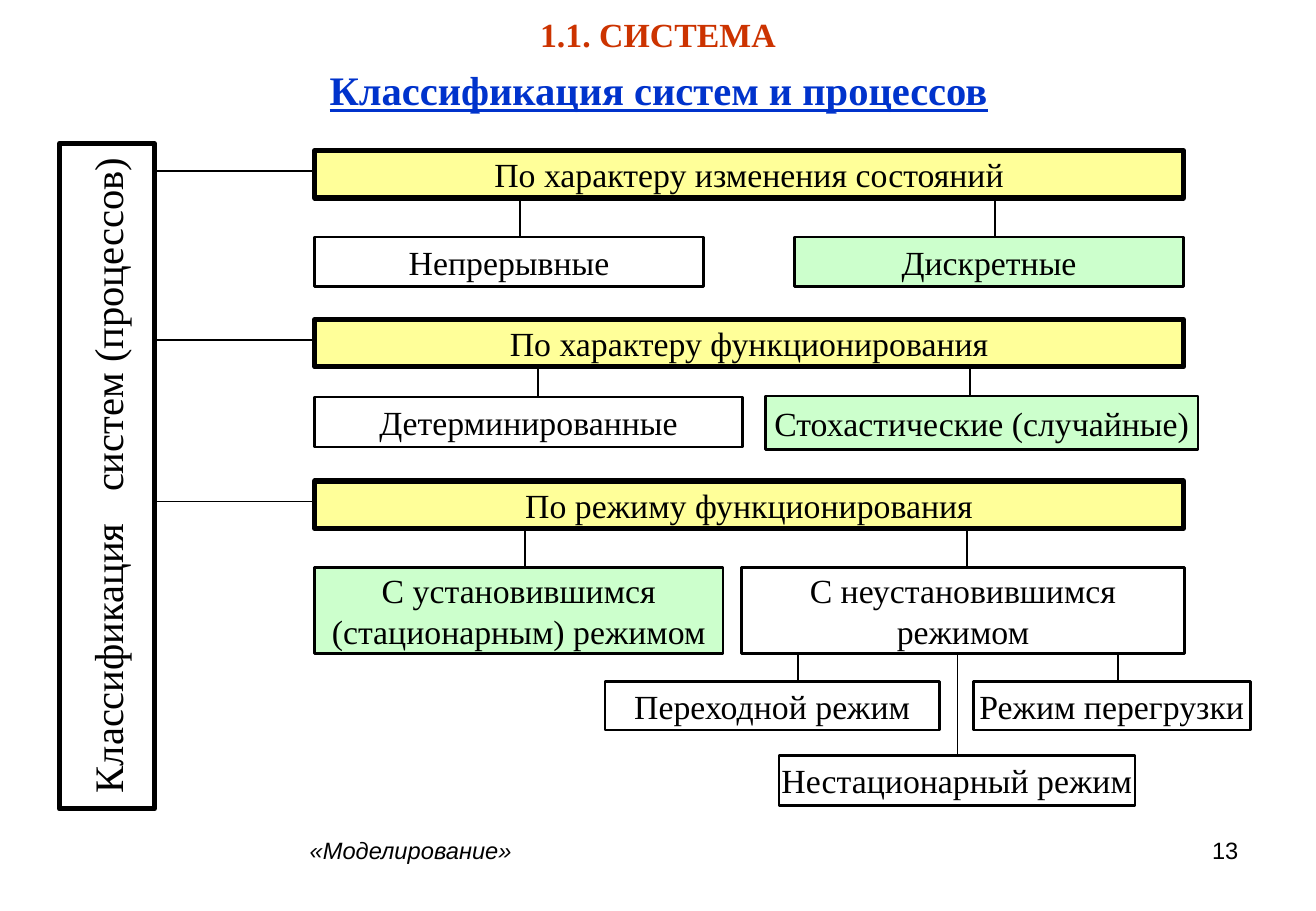
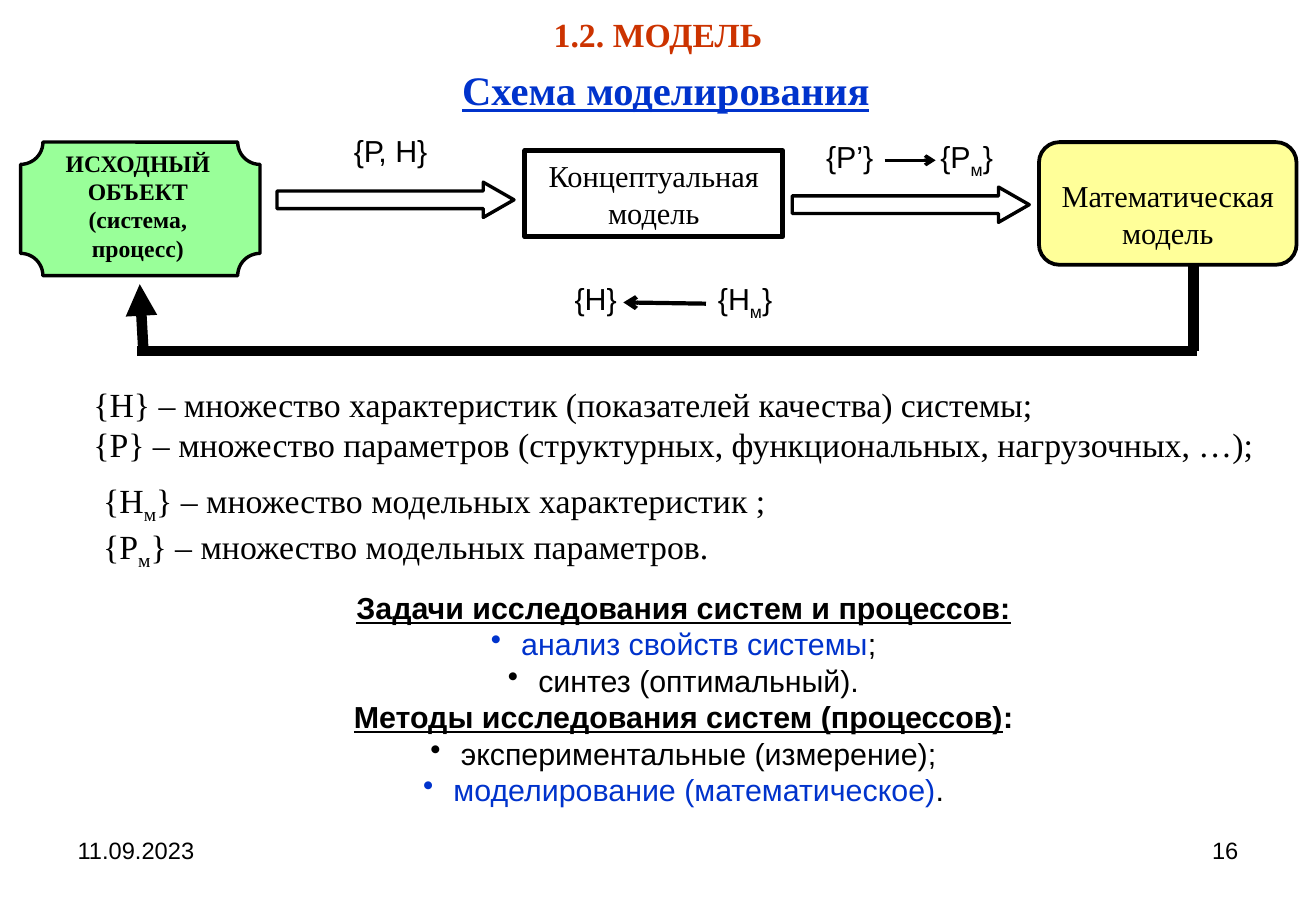
"""Build two lecture slides on system classification and modelling."""
from lxml.etree import SubElement
from pptx import Presentation
from pptx.dml.color import RGBColor
from pptx.enum.shapes import MSO_CONNECTOR, MSO_SHAPE
from pptx.enum.text import MSO_ANCHOR, PP_ALIGN
from pptx.oxml.ns import qn
from pptx.util import Inches, Pt

BLACK = RGBColor(0x00, 0x00, 0x00)
WHITE = RGBColor(0xFF, 0xFF, 0xFF)
BLUE = RGBColor(0x00, 0x33, 0xCC)
RED = RGBColor(0xCC, 0x33, 0x00)
YELLOW = RGBColor(0xFF, 0xFF, 0x99)
MINT = RGBColor(0xCC, 0xFF, 0xCC)
GREEN = RGBColor(0x99, 0xFF, 0x99)
SERIF = "Times New Roman"
SANS = "Arial"
SUBSCRIPT = ("м", {"baseline": -25000})

HEADER_LEFT, HEADER_WIDTH, HEADER_HEIGHT = 2.59, 7.15, 0.39
SIDE_RIGHT = 1.28


def add_span(para, text, size=20, font=SERIF, color=BLACK, bold=False,
             italic=False, underline=False, baseline=None):
    """Append one formatted run to a paragraph."""
    span = para.add_run()
    span.text = text
    span.font.size = Pt(size)
    span.font.name = font
    span.font.color.rgb = color
    span.font.bold = bold
    span.font.italic = italic
    span.font.underline = underline
    if baseline is not None:
        span.font._element.set("baseline", str(baseline))


def add_bullet(para):
    """Give a paragraph a round bullet with a hanging indent."""
    properties = para._p.get_or_add_pPr()
    properties.set("marL", str(Inches(0.25)))
    properties.set("indent", str(-Inches(0.25)))
    SubElement(properties, qn("a:buChar"), char="•")


def add_tab(para, position):
    """Set a left tab stop on a paragraph."""
    stops = SubElement(para._p.get_or_add_pPr(), qn("a:tabLst"))
    SubElement(stops, qn("a:tab"), pos=str(Inches(position)), algn="l")


def write(box, paragraphs, align=PP_ALIGN.CENTER, anchor=MSO_ANCHOR.MIDDLE,
          insets=(0, 0, 0, 0), wrap=True, bullets=(), tab=None, **style):
    """Fill a shape with paragraphs, each a string or a list of (text, style)."""
    frame = box.text_frame
    frame.word_wrap = wrap
    frame.vertical_anchor = anchor
    (frame.margin_left, frame.margin_top, frame.margin_right,
     frame.margin_bottom) = map(Inches, insets)
    for index, content in enumerate(paragraphs):
        para = frame.paragraphs[0] if index == 0 else frame.add_paragraph()
        para.alignment = align
        if index in bullets:
            add_bullet(para)
        if tab is not None:
            add_tab(para, tab)
        spans = [(content, {})] if isinstance(content, str) else content
        for text, changes in spans:
            add_span(para, text, **{**style, **changes})


def add_text(page, place, paragraphs, **style):
    """Add a plain text box."""
    box = page.shapes.add_textbox(*map(Inches, place))
    write(box, paragraphs, **{"anchor": MSO_ANCHOR.TOP,
                              "insets": (0.1, 0.05, 0.1, 0.05), **style})


def add_box(page, place, paragraphs=(), kind=MSO_SHAPE.RECTANGLE, fill=WHITE,
            width=1.5, adjustments=(), rotation=0, **style):
    """Add an outlined shape, with or without text."""
    box = page.shapes.add_shape(kind, *map(Inches, place))
    box.shadow.inherit = False
    box.rotation = rotation
    box.fill.solid()
    box.fill.fore_color.rgb = fill
    box.line.color.rgb = BLACK
    box.line.width = Pt(width)
    for index, value in enumerate(adjustments):
        box.adjustments[index] = value
    write(box, paragraphs, **style)


def add_line(page, start, end, width=1, head=None):
    """Draw a straight line, with an arrowhead at its end if one is named."""
    line = page.shapes.add_connector(MSO_CONNECTOR.STRAIGHT,
                                     *map(Inches, start + end))
    line.line.color.rgb = BLACK
    line.line.width = Pt(width)
    if head:
        SubElement(line.line._get_or_add_ln(), qn("a:tailEnd"), type=head)
    SubElement(line._element.spPr, qn("a:effectLst"))


def add_page(deck, section, title, number, title_left=0.3):
    """Add a page with its section name, title and page number."""
    page = deck.slides.add_slide(deck.slide_layouts[6])
    add_text(page, (0.21, 0.09, 10.41, 0.38), [section], color=RED, bold=True,
             anchor=MSO_ANCHOR.MIDDLE)
    add_text(page, (title_left, 0.49, 10.24, 0.5), [title], size=24, color=BLUE,
             bold=True, underline=True)
    add_text(page, (7.76, 6.83, 2.53, 0.52), [number], size=14, font=SANS,
             align=PP_ALIGN.RIGHT)
    return page


def add_criterion(page, name, top, classes):
    """Add a criterion bar tied to the side box, with its classes below."""
    add_line(page, (SIDE_RIGHT, top + 0.17), (HEADER_LEFT, top + 0.17))
    add_box(page, (HEADER_LEFT, top, HEADER_WIDTH, HEADER_HEIGHT), [name],
            fill=YELLOW, width=3)
    for text, place, fill, stem in classes:
        add_line(page, (stem, top + HEADER_HEIGHT), (stem, place[1]))
        add_box(page, place, [text], fill=fill)


def build_classification(deck):
    """Build the page with the tree of system classes."""
    page = add_page(deck, "1.1. СИСТЕМА", "Классификация систем и процессов", "13")
    add_text(page, (2.45, 6.83, 5.49, 0.52), ["«Моделирование»"], size=14,
             font=SANS, italic=True, align=PP_ALIGN.LEFT)
    add_box(page, (-1.86, 3.53, 5.48, 0.78), ["Классификация\tсистем (процессов)"],
            rotation=270, width=3, size=24, align=PP_ALIGN.LEFT,
            insets=(0.13, 0, 0, 0), tab=2.48)
    criteria = [
        ("По характеру изменения состояний", 1.24, [
            ("Непрерывные", (2.59, 1.95, 3.2, 0.41), WHITE, 4.28),
            ("Дискретные", (6.54, 1.95, 3.2, 0.41), MINT, 8.19)]),
        ("По характеру функционирования", 2.63, [
            ("Детерминированные", (2.59, 3.27, 3.52, 0.41), WHITE, 4.43),
            ("Стохастические (случайные)", (6.3, 3.26, 3.56, 0.44), MINT, 7.98)]),
        ("По режиму функционирования", 3.96, [
            ("С установившимся (стационарным) режимом",
             (2.59, 4.67, 3.36, 0.71), MINT, 4.32),
            ("С неустановившимся режимом",
             (6.1, 4.67, 3.65, 0.71), WHITE, 7.96)]),
    ]
    for criterion in criteria:
        add_criterion(page, *criterion)
    modes = [
        ("Переходной режим", (4.98, 5.61, 2.75, 0.4), 6.57),
        ("Нестационарный режим", (6.41, 6.22, 2.93, 0.41), 7.88),
        ("Режим перегрузки", (8.01, 5.61, 2.28, 0.4), 9.2),
    ]
    for text, place, stem in modes:
        add_line(page, (stem, 5.38), (stem, place[1]))
        add_box(page, place, [text], wrap=False)


def add_scheme(page):
    """Draw the modelling loop from the object to its models and back."""
    add_box(page, (0.17, 1.17, 1.97, 1.1),
            ["ИСХОДНЫЙ ОБЪЕКТ", "(система,", "процесс)"], kind=MSO_SHAPE.PLAQUE,
            fill=GREEN, width=2, adjustments=[0.167], size=14, bold=True,
            insets=(0, 0, 0.04, 0.06))
    add_box(page, (4.32, 1.24, 2.12, 0.71), ["Концептуальная модель"], width=3,
            size=18, insets=(0.1, 0, 0.1, 0))
    add_box(page, (8.55, 1.17, 2.12, 1.01), ["Математическая модель"],
            kind=MSO_SHAPE.ROUNDED_RECTANGLE, fill=YELLOW, width=2.25,
            adjustments=[0.167], size=18, insets=(0, 0.17, 0, 0))
    for left, top in ((2.28, 1.5), (6.52, 1.54)):
        add_box(page, (left, top, 1.95, 0.29), kind=MSO_SHAPE.RIGHT_ARROW,
                width=2, adjustments=[0.5, 0.872])

    add_line(page, (9.82, 2.18), (9.82, 2.89), width=6.25)
    add_line(page, (9.85, 2.89), (1.13, 2.89), width=6.25)
    add_line(page, (1.18, 2.89), (1.15, 2.34), width=6.25, head="triangle")

    add_text(page, (2.2, 1.04, 2.03, 0.4), ["{Р, Н}"], size=18, font=SANS)
    mappings = [
        ("{Р’}\t{P", (6.7, 1.09, 1.8, 0.4), 0.94),
        ("{H}\t{H", (4.63, 2.26, 2.0, 0.4), 1.18),
    ]
    for text, place, tab in mappings:
        add_text(page, place, [[(text, {}), SUBSCRIPT, ("}", {})]], size=18,
                 font=SANS, align=PP_ALIGN.LEFT, tab=tab)
    add_line(page, (7.28, 1.32), (7.7, 1.32), width=2, head="arrow")
    add_line(page, (5.81, 2.5), (5.13, 2.49), width=2.5, head="arrow")


def build_modelling(deck):
    """Build the page with the modelling scheme, notation and tasks."""
    page = add_page(deck, "1.2. МОДЕЛЬ", "Схема моделирования", "16",
                    title_left=0.36)
    add_text(page, (0.54, 6.83, 2.53, 0.52), ["11.09.2023"], size=14, font=SANS,
             align=PP_ALIGN.LEFT)
    add_scheme(page)
    add_text(page, (0.67, 3.11, 9.77, 0.77), [
        "{Н} – множество характеристик (показателей качества) системы;",
        "{Р} – множество параметров (структурных, функциональных, нагрузочных, …);",
    ], align=PP_ALIGN.LEFT, wrap=False)
    add_text(page, (0.75, 3.9, 7.11, 0.77), [
        [("{Н", {}), SUBSCRIPT, ("} – множество модельных характеристик ;", {})],
        [("{Р", {}), SUBSCRIPT, ("} – множество модельных параметров.", {})],
    ], align=PP_ALIGN.LEFT)

    heading = {"bold": True, "underline": True}
    add_text(page, (1.52, 4.8, 8.21, 1.95), [
        [("Задачи исследования систем и процессов:", heading)],
        [("анализ свойств системы", {"color": BLUE}), (";", {})],
        "синтез (оптимальный).",
        [("Методы исследования систем (процессов)", heading),
         (":", {"bold": True})],
        "экспериментальные (измерение);",
        [("моделирование (математическое)", {"color": BLUE}), (".", {})],
    ], size=18, font=SANS, bullets=(1, 2, 4, 5))


def main():
    """Build the deck and save it."""
    deck = Presentation()
    deck.slide_width = Inches(10.83)
    deck.slide_height = Inches(7.5)
    build_classification(deck)
    build_modelling(deck)
    deck.save("out.pptx")


if __name__ == "__main__":
    main()
